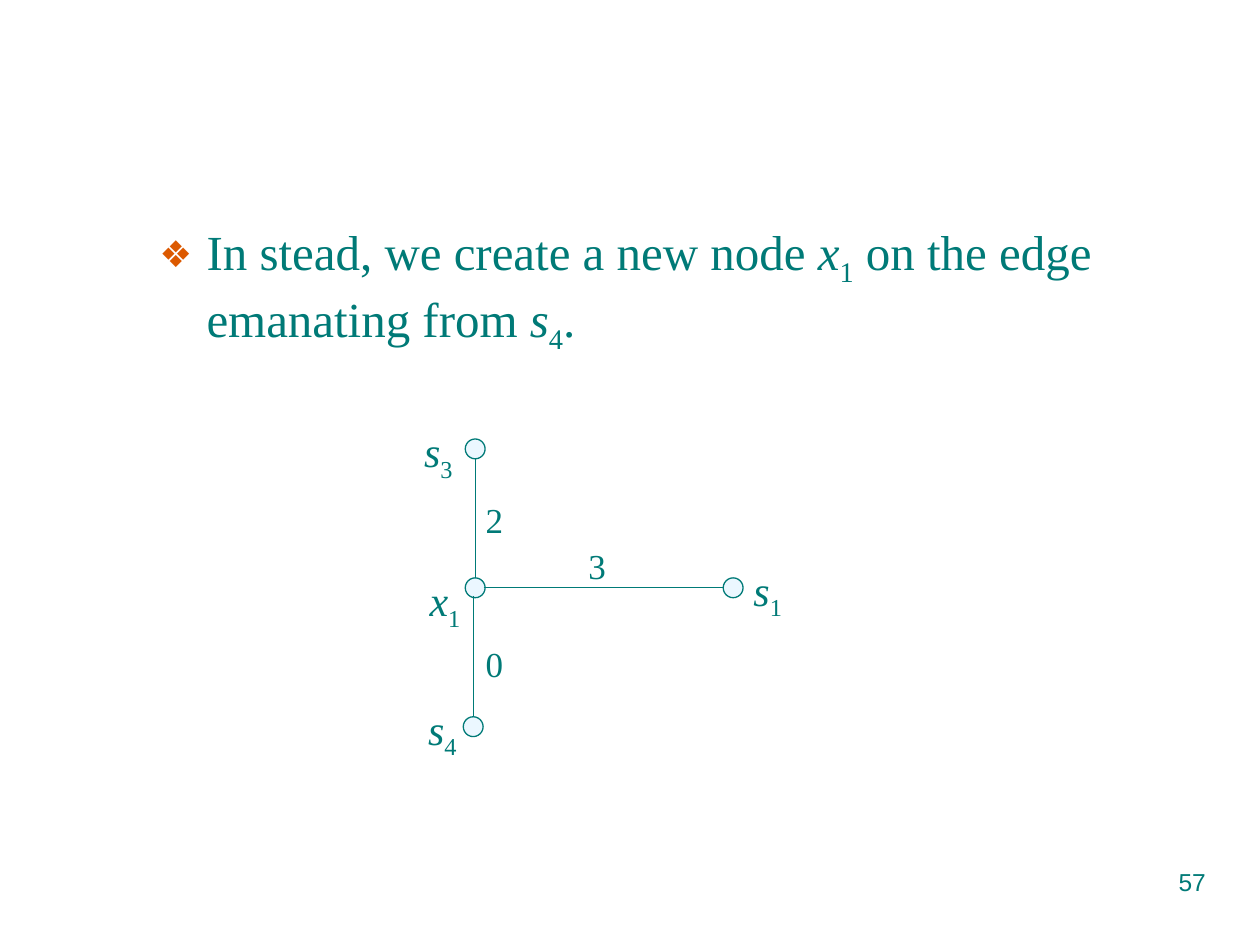
from lxml import etree
from pptx import Presentation
from pptx.dml.color import RGBColor
from pptx.enum.shapes import MSO_CONNECTOR, MSO_SHAPE
from pptx.enum.text import MSO_ANCHOR as Anchor, MSO_AUTO_SIZE as AutoSize, PP_ALIGN as Align
from pptx.oxml.ns import qn
from pptx.util import Cm, Pt

TEAL = RGBColor(0x00, 0x7A, 0x77)
PALE_BLUE = RGBColor(0xEB, 0xF7, 0xFF)
ORANGE = RGBColor(0xDC, 0x59, 0x00)
NODE_SIZE = 0.4
SERIF = "Times New Roman"


def add_runs(paragraph, parts, size, font_name=SERIF):
    """Write (text, style) parts; style is "", "italic" or "sub"."""
    for text, style in parts:
        run = paragraph.add_run()
        run.text = text
        formats = {"name": font_name, "size": Pt(size), "italic": style == "italic"}
        for name, value in formats.items():
            setattr(run.font, name, value)
        run.font.color.rgb = TEAL
        if style == "sub":
            run._r.get_or_add_rPr().set("baseline", "-25000")


def add_node(slide, x, y):
    """Draw a graph node centred on (x, y)."""
    shape = slide.shapes.add_shape(
        MSO_SHAPE.OVAL, Cm(x - NODE_SIZE / 2), Cm(y - NODE_SIZE / 2), Cm(NODE_SIZE), Cm(NODE_SIZE))
    shape.shadow.inherit = False
    shape.fill.solid()
    shape.fill.fore_color.rgb = PALE_BLUE
    shape.line.color.rgb = TEAL
    shape.line.width = Pt(0.75)


presentation = Presentation()
presentation.slide_width = Cm(25.4)
presentation.slide_height = Cm(19.05)
slide = presentation.slides.add_slide(presentation.slide_layouts[1])

# Body text in the template's placeholder; the title is not used
title = slide.shapes.title
title._element.getparent().remove(title._element)
body = slide.placeholders[1]
for name, value in {"left": 2.96, "top": 4.33, "width": 20.93, "height": 11.43}.items():
    setattr(body, name, Cm(value))
frame = body.text_frame
for name, value in {"word_wrap": True, "auto_size": AutoSize.NONE,
                    "vertical_anchor": Anchor.TOP}.items():
    setattr(frame, name, value)
paragraph = frame.paragraphs[0]
paragraph.space_before = Pt(0)

# Diamond bullet with a hanging indent
properties = paragraph._p.get_or_add_pPr()
properties.set("marL", str(Cm(0.95)))
properties.set("indent", str(-Cm(0.95)))
bullet_color = etree.SubElement(properties, qn("a:buClr"))
etree.SubElement(bullet_color, qn("a:srgbClr")).set("val", str(ORANGE))
etree.SubElement(properties, qn("a:buSzPct")).set("val", "75000")
etree.SubElement(properties, qn("a:buChar")).set("char", "❖")
add_runs(paragraph, [
    ("In stead, we create a new node ", ""), ("x", "italic"), ("1", "sub"),
    (" on the edge emanating from ", ""), ("s", "italic"), ("4", "sub"), (".", ""),
], 28)

# Nodes s3 and x1 lie behind the edges
for x, y in [(9.58, 9.05), (9.58, 11.85)]:
    add_node(slide, x, y)

# Edges: s3 to x1, x1 to s1, x1 to s4
for start_x, start_y, end_x, end_y in [
    (9.58, 9.25, 9.58, 11.65),
    (9.75, 11.85, 14.73, 11.85),
    (9.54, 12.01, 9.54, 14.5),
]:
    edge = slide.shapes.add_connector(
        MSO_CONNECTOR.STRAIGHT, Cm(start_x), Cm(start_y), Cm(end_x), Cm(end_y))
    edge.line.color.rgb = TEAL
    edge.line.width = Pt(0.75)
    etree.SubElement(edge._element.spPr, qn("a:effectLst"))

# Nodes s1 and s4 lie in front of the edges
for x, y in [(14.78, 11.85), (9.54, 14.65)]:
    add_node(slide, x, y)

# Node names and edge weights: left, top, letter, digit
for left, top, letter, digit in [
    (8.3, 8.46, "s", "3"),
    (8.38, 14.05, "s", "4"),
    (14.94, 11.25, "s", "1"),
    (8.41, 11.46, "x", "1"),
    (9.54, 9.92, "", "2"),
    (11.61, 10.85, "", "3"),
    (9.54, 12.83, "", "0"),
]:
    label = slide.shapes.add_textbox(Cm(left), Cm(top), Cm(1.4), Cm(1.42 if letter else 1.12))
    label.text_frame.word_wrap = True
    label.text_frame.auto_size = AutoSize.SHAPE_TO_FIT_TEXT
    parts = [(letter, "italic"), (digit, "sub")] if letter else [(digit, "")]
    add_runs(label.text_frame.paragraphs[0], parts, 24 if letter else 20)

# Slide number
number = slide.shapes.add_textbox(Cm(18.21), Cm(17.35), Cm(6.35), Cm(1.32))
number.text_frame.word_wrap = True
paragraph = number.text_frame.paragraphs[0]
paragraph.alignment = Align.RIGHT
add_runs(paragraph, [("57", "")], 14, "Arial")

presentation.save("out.pptx")
